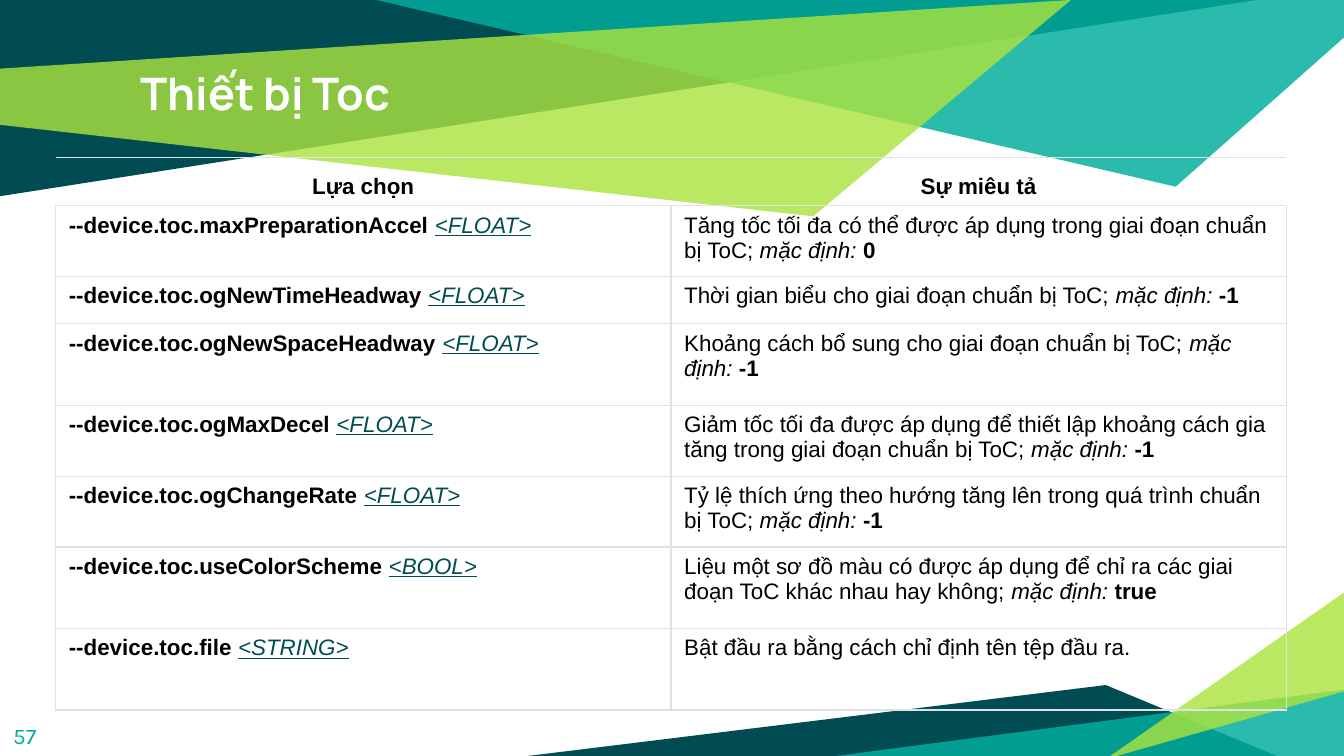
from lxml import etree
from pptx import Presentation
from pptx import util as u
from pptx.dml import color
from pptx.enum import text
from pptx.oxml import ns

DARK, TEAL, LIME = "004C52", "00AE9D", "ABE33F"
BLACK, WHITE, GRID = "000000", "FFFFFF", "DEE2E6"

# Fill, opacity in percent, corner points in cm
FACETS = [
    (DARK, 100, [(0, 0), (0, 3.71), (23.75, 0)]),
    (TEAL, 83, [(7.11, 0), (22.22, 3.53), (25.4, 0.71), (25.4, 0)]),
    (LIME, 81, [(-0.03, 1.3), (0, 2.36), (15.37, 4.09), (20.24, 0)]),
    (DARK, 100, [(9.98, 14.29), (24.13, 14.29), (20.9, 12.95)]),
    (TEAL, 83, [(25.45, 13.03), (25.45, 14.35), (15.34, 14.35)]),
    (LIME, 81, [(25.43, 13.06), (25.43, 11.18), (20.9, 14.35)]),
]

# Words, place in cm (left, top, width, height), font, size, colour, bold
LABELS = [
    ("Thiết bị Toc", (2.41, 0.99, 20.47, 2.39), "Manrope", 24, WHITE, True),
    ("57", (0, 13.41, 1.52, 1.09), "Karla", 12, TEAL, False),
]

HEADINGS = ["Lựa chọn", "Sự miêu tả"]
# Option, type, description, default value, row height in cm
OPTIONS = [
    ("maxPreparationAccel", "FLOAT",
     "Tăng tốc tối đa có thể được áp dụng trong giai đoạn chuẩn bị ToC;", "0", 1.33),
    ("ogNewTimeHeadway", "FLOAT",
     "Thời gian biểu cho giai đoạn chuẩn bị ToC;", "-1", 0.9),
    ("ogNewSpaceHeadway", "FLOAT",
     "Khoảng cách bổ sung cho giai đoạn chuẩn bị ToC;", "-1", 1.54),
    ("ogMaxDecel", "FLOAT",
     "Giảm tốc tối đa được áp dụng để thiết lập khoảng cách gia tăng "
     "trong giai đoạn chuẩn bị ToC;", "-1", 1.34),
    ("ogChangeRate", "FLOAT",
     "Tỷ lệ thích ứng theo hướng tăng lên trong quá trình chuẩn bị ToC;", "-1", 1.34),
    ("useColorScheme", "BOOL",
     "Liệu một sơ đồ màu có được áp dụng để chỉ ra các giai đoạn ToC "
     "khác nhau hay không;", "true", 1.54),
    ("file", "STRING", "Bật đầu ra bằng cách chỉ định tên tệp đầu ra.", None, 1.54),
]
TABLE_LEFT, TABLE_TOP, COLUMN_WIDTH, HEADING_HEIGHT = 1.05, 2.97, 11.63, 0.92


def rgb(code):
    return color.RGBColor.from_string(code)


def style(font, name, size, code):
    font.name, font.size = name, u.Pt(size)
    font.color.rgb = rgb(code)


def add_facet(slide, code, opacity, points):
    corners = [(u.Cm(x), u.Cm(y)) for x, y in points]
    builder = slide.shapes.build_freeform(*corners[0], scale=1.0)
    builder.add_line_segments(corners[1:], close=True)
    facet = builder.convert_to_shape()
    facet.shadow.inherit = False
    facet.line.fill.background()
    facet.fill.solid()
    facet.fill.fore_color.rgb = rgb(code)
    if opacity < 100:
        tint = facet.fill._xPr.find(".//" + ns.qn("a:srgbClr"))
        etree.SubElement(tint, ns.qn("a:alpha"), val=str(opacity * 1000))


def add_label(slide, words, place, name, size, code, bold):
    frame = slide.shapes.add_textbox(*map(u.Cm, place)).text_frame
    frame.word_wrap = True
    frame.margin_left = frame.margin_right = u.Cm(0.25)
    frame.margin_top = frame.margin_bottom = u.Cm(0.25)
    para = frame.paragraphs[0]
    para.text = words
    style(para.font, name, size, code)
    para.font.bold = bold


def set_borders(cell, sides):
    """Draw the grid line on the given sides (of L, R, T, B) and none on the others."""
    properties = cell._tc.get_or_add_tcPr()
    for side in "LRTB":
        line = etree.SubElement(properties, ns.qn("a:ln" + side), w=str(u.Pt(0.75)))
        if side in sides:
            fill = etree.SubElement(line, ns.qn("a:solidFill"))
            etree.SubElement(fill, ns.qn("a:srgbClr"), val=GRID)
        else:
            etree.SubElement(line, ns.qn("a:noFill"))


def fill_cell(cell, spans, heading=False):
    """Write spans of (words, marks), the marks being letters of b, i and u."""
    set_borders(cell, "TB" if heading else "LRTB")
    cell.fill.background()
    cell.margin_left = cell.margin_right = u.Cm(0.25)
    cell.margin_top = cell.margin_bottom = u.Cm(0.13)
    cell.vertical_anchor = text.MSO_ANCHOR.BOTTOM if heading else text.MSO_ANCHOR.TOP
    para = cell.text_frame.paragraphs[0]
    para.alignment = text.PP_ALIGN.CENTER if heading else text.PP_ALIGN.LEFT
    for words, marks in spans:
        span = para.add_run()
        span.text = words
        style(span.font, "Arial", 12, DARK if "u" in marks else BLACK)
        span.font.bold = "b" in marks
        span.font.italic = "i" in marks
        span.font.underline = "u" in marks


def add_options_table(slide):
    heights = [HEADING_HEIGHT] + [option[-1] for option in OPTIONS]
    table = slide.shapes.add_table(
        len(heights), len(HEADINGS), u.Cm(TABLE_LEFT), u.Cm(TABLE_TOP),
        u.Cm(COLUMN_WIDTH * len(HEADINGS)), u.Cm(sum(heights))).table
    table.first_row = table.horz_banding = False
    for column in table.columns:
        column.width = u.Cm(COLUMN_WIDTH)
    for row, height in zip(table.rows, heights):
        row.height = u.Cm(height)

    for index, heading in enumerate(HEADINGS):
        fill_cell(table.cell(0, index), [(heading, "b")], heading=True)
    for index, (option, kind, description, default, _) in enumerate(OPTIONS, 1):
        fill_cell(table.cell(index, 0),
                  [(f"--device.toc.{option} ", "b"), (f"<{kind}>", "iu")])
        spans = [(description, "")]
        if default:
            spans = [(description + " ", ""), ("mặc định: ", "i"), (default, "b")]
        fill_cell(table.cell(index, 1), spans)


def main():
    deck = Presentation()
    deck.slide_width, deck.slide_height = u.Cm(25.4), u.Cm(14.29)
    slide = deck.slides.add_slide(deck.slide_layouts[6])
    for facet in FACETS:
        add_facet(slide, *facet)
    for label in LABELS:
        add_label(slide, *label)
    add_options_table(slide)
    deck.save("out.pptx")


if __name__ == "__main__":
    main()
